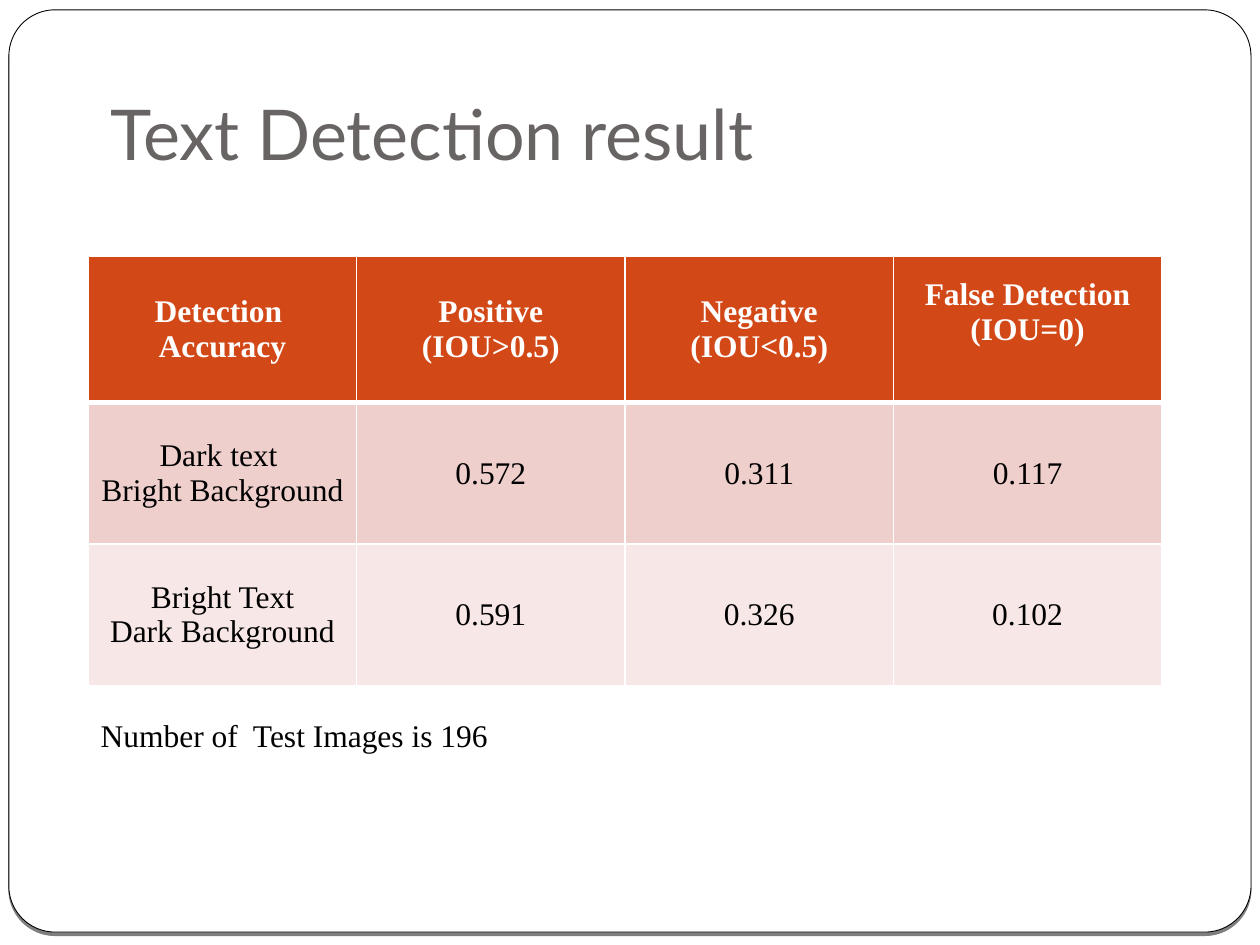
from lxml.etree import SubElement
from pptx import Presentation
from pptx.dml.color import RGBColor
from pptx.enum.shapes import MSO_SHAPE
from pptx.enum.text import MSO_ANCHOR, MSO_AUTO_SIZE, PP_ALIGN
from pptx.oxml import parse_xml
from pptx.oxml.ns import nsdecls, qn
from pptx.util import Cm, Pt

COLORS = {
    "paper": "FFFFFF", "ink": "000000", "title": "696464",
    "header": "D34817", "band_dark": "EECFCC", "band_light": "F7E8E7",
}
SERIF = "Times New Roman"
TITLE_FONT = {"name": "Lato", "size": Pt(40), "bold": False, "color": "title"}
HEADER_FONT = {"name": SERIF, "size": Pt(18), "bold": True, "color": "paper"}
BODY_FONT = {"name": SERIF, "size": Pt(18), "bold": False, "color": "ink"}

ROWS = [
    ["Detection \nAccuracy", "Positive\n(IOU>0.5)", "Negative\n(IOU<0.5)",
     "False Detection\n(IOU=0)"],
    ["Dark text \nBright Background", "0.572", "0.311", "0.117"],
    ["Bright Text\nDark Background", "0.591", "0.326", "0.102"],
]
ROW_FILLS = ["header", "band_dark", "band_light"]
ROW_HEIGHTS = [2.95, 2.85, 2.85]
COL_WIDTH = 5.41
THIN, THICK = Pt(0.96), Pt(3)


def rgb(key):
    return RGBColor.from_string(COLORS[key])


def write(tf, text, font, align=PP_ALIGN.LEFT):
    """Fill a text frame, one paragraph per line of text."""
    for i, line in enumerate(text.split("\n")):
        p = tf.paragraphs[0] if i == 0 else tf.add_paragraph()
        p.alignment = align
        r = p.add_run()
        r.text = line
        for name, value in font.items():
            if name == "color":
                r.font.color.rgb = rgb(value)
            else:
                setattr(r.font, name, value)


def add_frame(s):
    """Add the rounded page frame with its hard shadow, behind everything."""
    sp = s.shapes.add_shape(MSO_SHAPE.ROUNDED_RECTANGLE,
                            Cm(0.18), Cm(0.2), Cm(25.04), Cm(18.59))
    sp.adjustments[0] = 0.05
    sp.fill.solid()
    sp.fill.fore_color.rgb = rgb("paper")
    sp.line.color.rgb = rgb("ink")
    sp.line.width = Pt(0.5)
    sp.element.spPr.append(parse_xml(
        f'<a:effectLst {nsdecls("a")}>'
        f'<a:outerShdw blurRad="0" dist="{Pt(2)}" dir="5400000" rotWithShape="0">'
        f'<a:srgbClr val="{COLORS["ink"]}"><a:alpha val="50000"/></a:srgbClr>'
        '</a:outerShdw></a:effectLst>'))
    s.shapes.element.insert(2, sp.element)


def set_title(s, text):
    sp = s.shapes.title
    sp.left, sp.top, sp.width, sp.height = Cm(1.98), Cm(0.58), Cm(21.59), Cm(3.18)
    tf = sp.text_frame
    layout = {"vertical_anchor": MSO_ANCHOR.BOTTOM, "auto_size": MSO_AUTO_SIZE.NONE,
              "word_wrap": True, "margin_left": Cm(0.25), "margin_right": Cm(0.25),
              "margin_top": Cm(0.13), "margin_bottom": Cm(0.25)}
    for name, value in layout.items():
        setattr(tf, name, value)
    write(tf, text, TITLE_FONT)


def set_borders(cell, widths):
    tcPr = cell._tc.get_or_add_tcPr()
    for i, (side, width) in enumerate(widths.items()):
        ln = tcPr.makeelement(qn(f"a:ln{side}"), {"w": str(width)})
        fill = SubElement(ln, qn("a:solidFill"))
        SubElement(fill, qn("a:srgbClr"), val=COLORS["paper"])
        tcPr.insert(i, ln)


def add_results_table(s):
    cols = len(ROWS[0])
    table = s.shapes.add_table(len(ROWS), cols, Cm(1.78), Cm(5.17),
                               Cm(COL_WIDTH * cols), Cm(sum(ROW_HEIGHTS))).table
    for col in table.columns:
        col.width = Cm(COL_WIDTH)
    for i, values in enumerate(ROWS):
        table.rows[i].height = Cm(ROW_HEIGHTS[i])
        for j, text in enumerate(values):
            cell = table.cell(i, j)
            cell.vertical_anchor = MSO_ANCHOR.MIDDLE
            cell.fill.solid()
            cell.fill.fore_color.rgb = rgb(ROW_FILLS[i])
            write(cell.text_frame, text, BODY_FONT if i else HEADER_FONT,
                  PP_ALIGN.CENTER)
            set_borders(cell, {"L": THIN, "R": THIN,
                               "T": THICK if i == 1 else THIN,
                               "B": THICK if i == 0 else THIN})
    # The last heading sits higher than the others
    table.cell(0, cols - 1).margin_bottom = Cm(0.84)


def add_note(s, text):
    tf = s.shapes.add_textbox(Cm(1.78), Cm(14.3), Cm(22.02), Cm(1.78)).text_frame
    tf.word_wrap = True
    write(tf, text, BODY_FONT)


def main():
    prs = Presentation()
    prs.slide_width, prs.slide_height = Cm(25.4), Cm(19.05)
    s = prs.slides.add_slide(prs.slide_layouts[5])
    add_frame(s)
    set_title(s, "Text Detection result")
    add_results_table(s)
    add_note(s, "Number of  Test Images is 196")
    prs.save("out.pptx")


if __name__ == "__main__":
    main()
